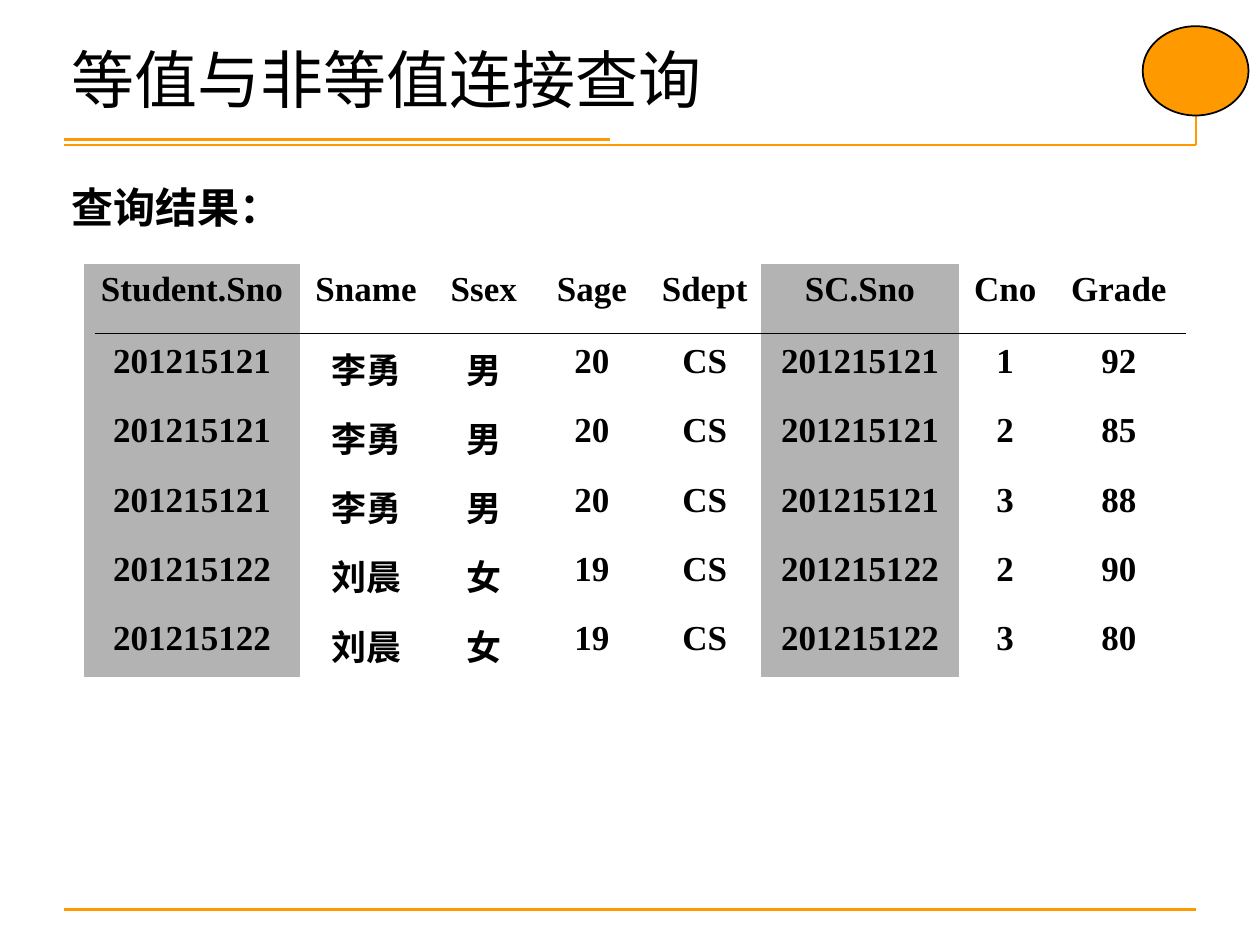
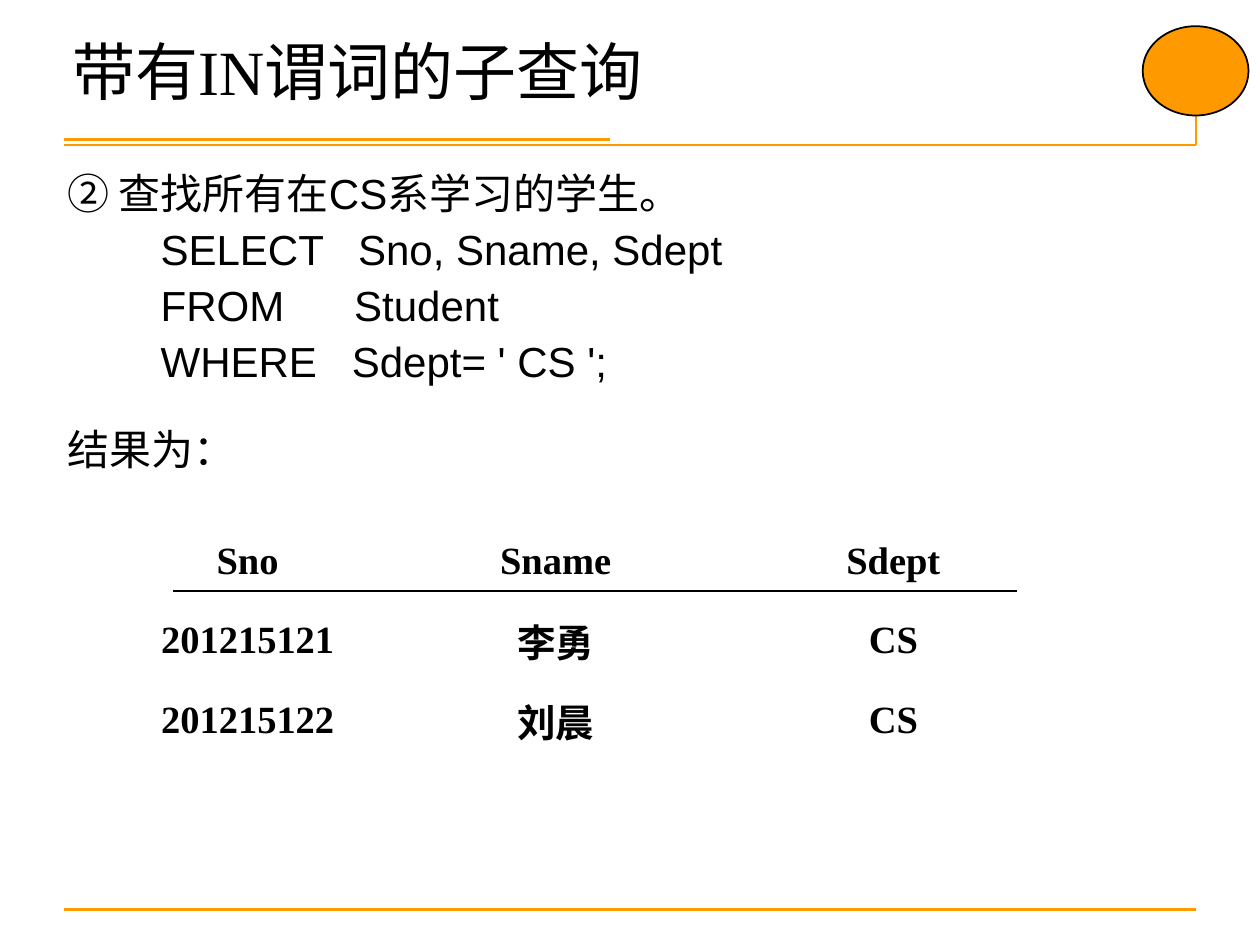
from collections import namedtuple
from dataclasses import dataclass

from lxml import etree
from pptx import Presentation
from pptx import util as u
from pptx.dml.color import RGBColor
from pptx.enum import shapes, text
from pptx.oxml.ns import qn

Pt = u.Pt
Box = namedtuple("Box", "left top width height")
NO_GRID_STYLE = "{2D5ABB26-0587-4C30-8999-92F81FD0307C}"


@dataclass(frozen=True)
class Theme:
    serif: str = "Times New Roman"
    sans: str = "Arial"
    ink: RGBColor = RGBColor(0, 0, 0)
    accent: RGBColor = RGBColor(0xFF, 0x99, 0x00)
    key_fill: RGBColor = RGBColor(0xB3, 0xB3, 0xB3)
    title_size: int = 36
    body_size: int = 24
    rule_width: float = 1.5
    hairline: float = 0.75


THEME = Theme()
SLIDE = Box(0, 0, 720, 540)


# Shared helpers
def points(box):
    return [Pt(value) for value in box]


def style(para, size, name, bold=False):
    font = para.font
    font.size, font.name, font.bold = Pt(size), name, bold
    font.color.rgb = THEME.ink


def add_line(page, x1, y1, x2, y2, color=THEME.accent, width=THEME.rule_width):
    line = page.shapes.add_connector(
        shapes.MSO_CONNECTOR.STRAIGHT, Pt(x1), Pt(y1), Pt(x2), Pt(y2))
    line.line.color.rgb = color
    line.line.width = Pt(width)
    etree.SubElement(line._element.spPr, qn("a:effectLst"))


def add_text(page, box, lines, anchor=text.MSO_ANCHOR.TOP):
    """Add a wrapped text box and return its paragraphs."""
    frame = page.shapes.add_textbox(*points(box)).text_frame
    frame.word_wrap = True
    frame.vertical_anchor = anchor
    frame.text = "\n".join(lines)
    return frame.paragraphs


# Slide frame: rules, corner disc and title
def add_disc(page, box):
    disc = page.shapes.add_shape(shapes.MSO_SHAPE.OVAL, *points(box))
    disc.shadow.inherit = False
    disc.fill.solid()
    disc.fill.fore_color.rgb = THEME.accent
    disc.line.color.rgb = THEME.ink
    disc.line.width = Pt(1)


def add_frame(page, box):
    left, right = box.left + 36.5, box.left + box.width - 36.5
    rule, foot = box.top + 82.8, box.top + box.height - 20.2
    add_line(page, left, foot, right, foot)
    add_line(page, left, rule, right, rule)
    add_line(page, right, box.top + 20, right, rule)
    add_disc(page, Box(right - 30.5, box.top + 15, 60.5, 51))
    add_line(page, left, rule - 3, left + 312, rule - 3)


def add_page(deck, title, title_box):
    page = deck.slides.add_slide(deck.slide_layouts[5])
    add_frame(page, SLIDE)
    holder = page.shapes.title
    holder.left, holder.top, holder.width, holder.height = points(title_box)
    frame = holder.text_frame
    frame.text = title
    frame.auto_size = text.MSO_AUTO_SIZE.NONE
    frame.vertical_anchor = text.MSO_ANCHOR.MIDDLE
    para = frame.paragraphs[0]
    para.alignment = text.PP_ALIGN.LEFT
    style(para, THEME.title_size, THEME.serif)
    return page


# Query result: table with a thin rule under its header
def add_result(page, box, widths, heights, rows, size, rule,
               key_columns=(), anchor=text.MSO_ANCHOR.TOP):
    """Rule holds the left inset, the drop from the top and the length."""
    graphic = page.shapes.add_table(len(rows), len(widths), *points(box))
    table = graphic.table
    table.first_row = table.horz_banding = False
    table._tbl.tblPr.find(qn("a:tableStyleId")).text = NO_GRID_STYLE
    for column, width in zip(table.columns, widths):
        column.width = Pt(width)
    for row, height, values in zip(table.rows, heights, rows):
        row.height = Pt(height)
        for index, (cell, value) in enumerate(zip(row.cells, values)):
            cell.text = value
            cell.vertical_anchor = anchor
            if index in key_columns:
                cell.fill.solid()
                cell.fill.fore_color.rgb = THEME.key_fill
            else:
                cell.fill.background()
            para = cell.text_frame.paragraphs[0]
            para.alignment = text.PP_ALIGN.CENTER
            style(para, size, THEME.serif, bold=True)
    inset, drop, length = rule
    add_line(page, box.left + inset, box.top + drop,
             box.left + inset + length, box.top + drop,
             THEME.ink, THEME.hairline)


# Slide 1: result of the join
def build_join_page(deck):
    page = add_page(deck, "等值与非等值连接查询", Box(33.5, 22.5, 582, 44.5))
    heading = add_text(page, Box(34, 100, 165, 36), ["查询结果："],
                       text.MSO_ANCHOR.MIDDLE)[0]
    style(heading, THEME.body_size, THEME.serif, bold=True)

    li_yong = ("201215121", "李勇", "男", "20", "CS")
    liu_chen = ("201215122", "刘晨", "女", "19", "CS")
    grades = [(li_yong, "1", "92"), (li_yong, "2", "85"), (li_yong, "3", "88"),
              (liu_chen, "2", "90"), (liu_chen, "3", "80")]
    header = ("Student.Sno", "Sname", "Ssex", "Sage", "Sdept",
              "SC.Sno", "Cno", "Grade")
    rows = [header] + [(*student, student[0], course, grade)
                       for student, course, grade in grades]
    add_result(page, Box(48, 151, 630, 236),
               widths=(123.5, 75.5, 59, 64.5, 64.5, 113, 53, 77),
               heights=(41, *[39.6] * 4, 36.6), rows=rows, size=20,
               rule=(6, 39.6, 623.5), key_columns=(0, 5))


# Slide 2: subquery and its result
def build_subquery_page(deck):
    page = add_page(deck, "带有IN谓词的子查询", Box(34, 18, 582, 44.5))
    lines = ["② 查找所有在CS系学习的学生。",
             "        SELECT   Sno, Sname, Sdept",
             "        FROM      Student",
             "        WHERE   Sdept= ' CS ';",
             "结果为："]
    paras = add_text(page, Box(31.5, 96, 517, 183), lines)
    for index, para in enumerate(paras):
        para.line_spacing = Pt(25)
        para.space_before = Pt(7 if index else 0)
        style(para, THEME.body_size, THEME.sans)
    paras[-1].line_spacing = Pt(43)

    rows = [("Sno", "Sname", "Sdept"),
            ("201215121", "李勇", "CS"),
            ("201215122", "刘晨", "CS")]
    add_result(page, Box(59.5, 298, 550, 136.5), widths=(164, 188, 198),
               heights=[45.5] * 3, rows=rows, size=22,
               rule=(39.5, 39.8, 482), anchor=text.MSO_ANCHOR.MIDDLE)


def main():
    deck = Presentation()
    deck.slide_width, deck.slide_height = Pt(SLIDE.width), Pt(SLIDE.height)
    build_join_page(deck)
    build_subquery_page(deck)
    deck.save("out.pptx")


if __name__ == "__main__":
    main()
